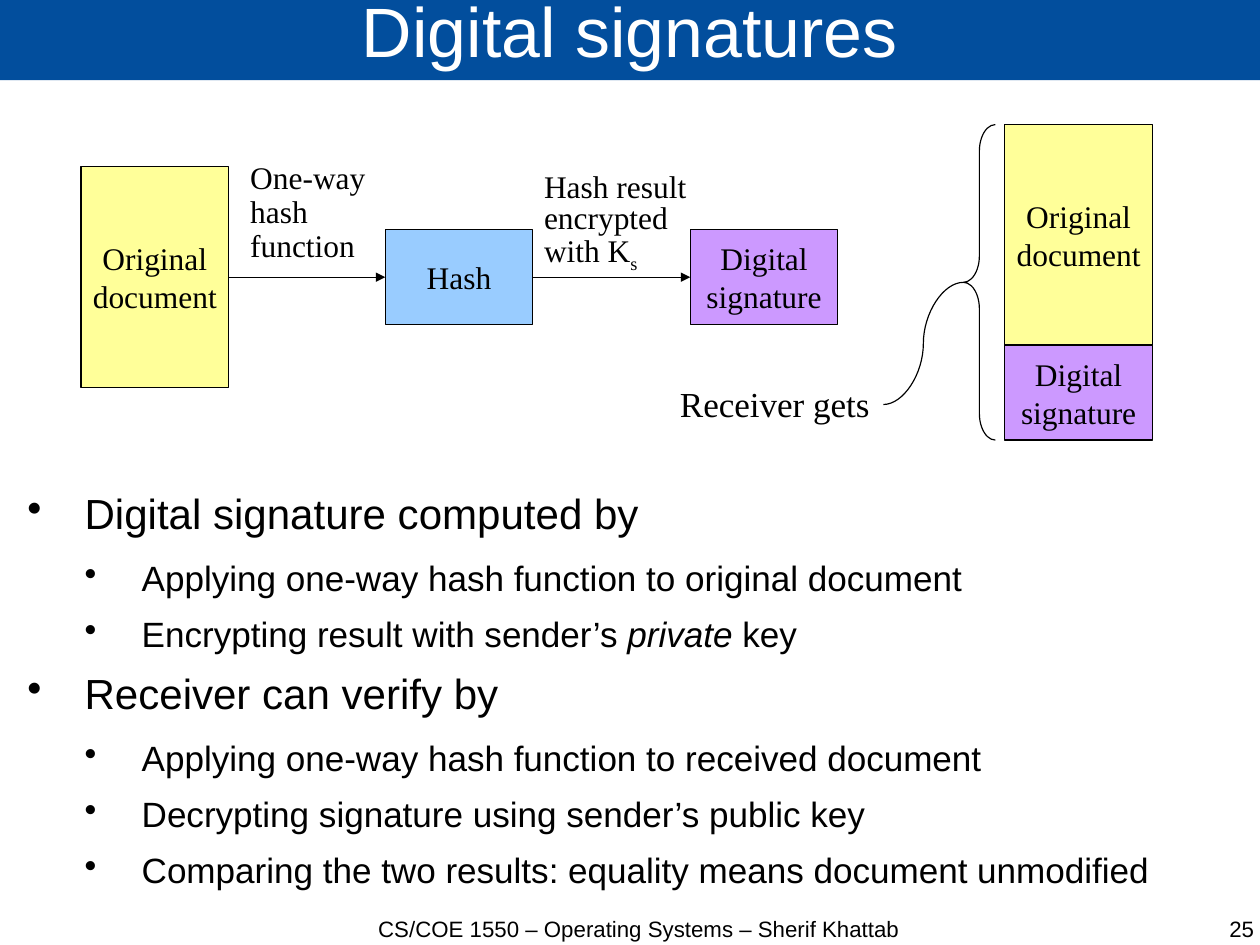
from lxml.etree import SubElement
from pptx import Presentation
from pptx.dml.color import RGBColor
from pptx.enum.shapes import MSO_CONNECTOR, MSO_SHAPE
from pptx.enum.text import MSO_ANCHOR, PP_ALIGN
from pptx.oxml.ns import qn
from pptx.util import Cm, Pt

BLACK, WHITE, BLUE = "000000", "FFFFFF", "024E9D"
YELLOW, LIGHT_BLUE, PURPLE = "FFFF99", "99CCFF", "CC99FF"
SERIF, SANS = "Times New Roman", "Arial"
BOX_WIDTH, DOCUMENT_HEIGHT, SMALL_HEIGHT = 3.28, 4.9, 2.11
FLOW_MIDDLE = 6.16
STACK_LEFT, STACK_TOP = 22.33, 2.77
BULLETS = [
    (0, ["Digital signature computed by"]),
    (1, ["Applying one-way hash function to original document"]),
    (1, ["Encrypting result with sender’s ", "private", " key"]),
    (0, ["Receiver can verify by"]),
    (1, ["Applying one-way hash function to received document"]),
    (1, ["Decrypting signature using sender’s public key"]),
    (1, ["Comparing the two results: equality means document unmodified"]),
]


def color(value):
    return RGBColor.from_string(value)


def style_text(paragraph, size, name, text_color=BLACK):
    font = paragraph.font
    font.size, font.name = Pt(size), name
    font.color.rgb = color(text_color)


def remove_margins(frame):
    frame.margin_left = frame.margin_right = 0
    frame.margin_top = frame.margin_bottom = 0


def add_box(slide, left, top, width, height):
    return slide.shapes.add_textbox(Cm(left), Cm(top), Cm(width), Cm(height))


def add_preset(slide, kind, left, top, width, height, fill=None, line=BLACK):
    shape = slide.shapes.add_shape(kind, Cm(left), Cm(top), Cm(width), Cm(height))
    shape.shadow.inherit = False
    if fill:
        shape.fill.solid()
        shape.fill.fore_color.rgb = color(fill)
    else:
        shape.fill.background()
    if line:
        shape.line.color.rgb = color(line)
        shape.line.width = Pt(0.75)
    else:
        shape.line.fill.background()
    return shape


def add_title(slide, text):
    bar = add_preset(slide, MSO_SHAPE.RECTANGLE, 0, 0, 28, 1.78, BLUE, None)
    frame = bar.text_frame
    remove_margins(frame)
    frame.vertical_anchor = MSO_ANCHOR.MIDDLE
    paragraph = frame.paragraphs[0]
    paragraph.text = text
    paragraph.alignment = PP_ALIGN.CENTER
    paragraph.line_spacing = 0.69
    style_text(paragraph, 44, SANS, WHITE)


def add_node(slide, text, left, top, height, fill):
    node = add_preset(slide, MSO_SHAPE.RECTANGLE, left, top, BOX_WIDTH, height, fill)
    frame = node.text_frame
    frame.word_wrap = False
    frame.vertical_anchor = MSO_ANCHOR.MIDDLE
    paragraph = frame.paragraphs[0]
    paragraph.text = text
    paragraph.alignment = PP_ALIGN.CENTER
    style_text(paragraph, 19.8, SERIF)
    return node


def add_label(slide, text, left, top, width, height, size=19.8, spacing=None, subscript=""):
    frame = add_box(slide, left, top, width, height).text_frame
    frame.word_wrap = False
    paragraph = frame.paragraphs[0]
    paragraph.text = text
    if spacing:
        paragraph.line_spacing = spacing
    if subscript:
        run = paragraph.add_run()
        run.text = subscript
        run.font._element.set("baseline", "-25000")
    style_text(paragraph, size, SERIF)


def connect(slide, kind, start, start_side, end, end_side):
    connector = slide.shapes.add_connector(kind, 0, 0, 0, 0)
    connector.begin_connect(start, start_side) if start else None
    connector.end_connect(end, end_side)
    connector.line.color.rgb = color(BLACK)
    connector.line.width = Pt(0.75)
    SubElement(connector._element.spPr, qn("a:effectLst"))
    return connector


def add_arrow(slide, start, end):
    arrow = connect(slide, MSO_CONNECTOR.STRAIGHT, start, 3, end, 1)
    SubElement(arrow.line._get_or_add_ln(), qn("a:tailEnd"), type="triangle")


def add_flow(slide):
    """Draw the row from the document through its hash to the signature."""
    nodes = [
        add_node(slide, text, left, FLOW_MIDDLE - height / 2, height, fill)
        for text, left, height, fill in [
            ("Original\ndocument", 1.8, DOCUMENT_HEIGHT, YELLOW),
            ("Hash", 8.56, SMALL_HEIGHT, LIGHT_BLUE),
            ("Digital\nsignature", 15.34, SMALL_HEIGHT, PURPLE),
        ]
    ]
    for start, end in zip(nodes, nodes[1:]):
        add_arrow(slide, start, end)
    add_label(slide, "One-way\nhash\nfunction", 5.31, 3.48, 3.1, 2.54, spacing=0.9)
    add_label(slide, "Hash result\nencrypted\nwith K", 11.84, 3.76, 3.71, 2.29,
              spacing=0.8, subscript="s")


def add_received(slide):
    """Draw the document and signature that reach the receiver."""
    add_node(slide, "Original\ndocument", STACK_LEFT, STACK_TOP, DOCUMENT_HEIGHT, YELLOW)
    add_node(slide, "Digital\nsignature", STACK_LEFT, STACK_TOP + DOCUMENT_HEIGHT,
             SMALL_HEIGHT, PURPLE)
    add_label(slide, "Receiver gets", 14.86, 8.38, 4.75, 1.19, size=22.1)
    brace = add_preset(slide, MSO_SHAPE.LEFT_BRACE, 21.41, STACK_TOP, 0.71,
                       DOCUMENT_HEIGHT + SMALL_HEIGHT)
    brace.adjustments[0] = 0.83
    curve = connect(slide, MSO_CONNECTOR.CURVE, None, None, brace, 1)
    curve.begin_x, curve.begin_y = Cm(19.63), Cm(8.99)


def add_bullets(slide):
    frame = add_box(slide, 0.61, 10.97, 27.2, 9.1).text_frame
    frame.word_wrap = True
    remove_margins(frame)
    for index, (level, parts) in enumerate(BULLETS):
        paragraph = frame.add_paragraph() if index else frame.paragraphs[0]
        paragraph.level = level
        paragraph.line_spacing = 0.9
        paragraph.space_after = Pt(11.4 if level else 14.2)
        properties = paragraph._p.get_or_add_pPr()
        properties.set("marL", str(Cm(1.27 * (level + 1))))
        properties.set("indent", str(Cm(-1.27)))
        SubElement(properties, qn("a:buChar"), char="•")
        for position, part in enumerate(parts):
            run = paragraph.add_run()
            run.text = part
            if position == 1:
                run.font.italic = True
        style_text(paragraph, 22.1 if level else 26.5, SANS)


def add_footer(slide, text, left, width, alignment):
    frame = add_box(slide, left, 20.35, width, 0.65).text_frame
    frame.word_wrap = True
    remove_margins(frame)
    paragraph = frame.paragraphs[0]
    paragraph.text = text
    paragraph.alignment = alignment
    style_text(paragraph, 14, SANS)


def main():
    presentation = Presentation()
    presentation.slide_width, presentation.slide_height = Cm(28), Cm(21)
    slide = presentation.slides.add_slide(presentation.slide_layouts[6])
    add_title(slide, "Digital signatures")
    add_bullets(slide)
    add_footer(slide, "CS/COE 1550 – Operating Systems – Sherif Khattab", 7.8, 12.8,
               PP_ALIGN.CENTER)
    add_footer(slide, "25", 21.44, 6.43, PP_ALIGN.RIGHT)
    add_flow(slide)
    add_received(slide)
    presentation.save("out.pptx")


if __name__ == "__main__":
    main()
